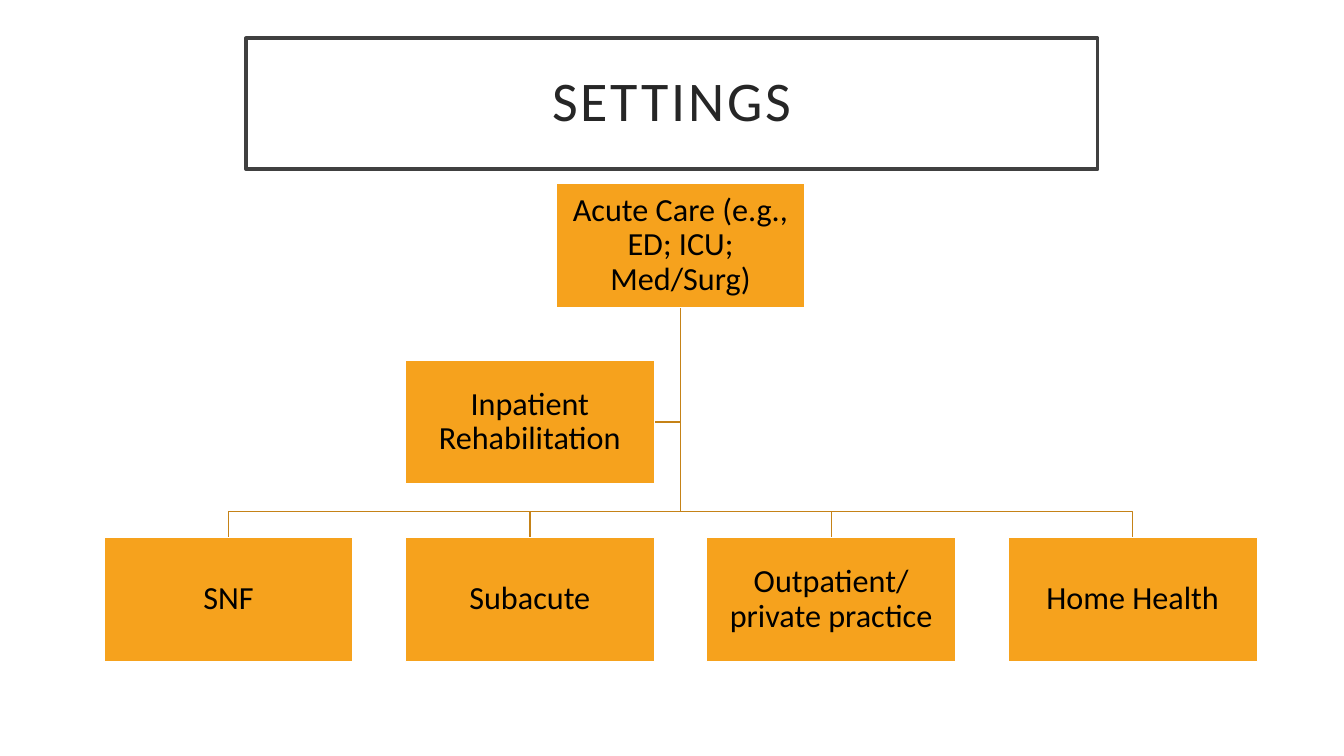
"""Builds the care settings slide: a framed title above an organisation chart."""
from dataclasses import dataclass

from pptx import Presentation
from pptx.dml.color import RGBColor
from pptx.enum.shapes import MSO_SHAPE
from pptx.enum.text import MSO_ANCHOR, PP_ALIGN
from pptx.util import Pt

RECTANGLE = MSO_SHAPE.RECTANGLE
MIDDLE = MSO_ANCHOR.MIDDLE
CENTER = PP_ALIGN.CENTER


@dataclass(frozen=True)
class Theme:
    font: str = "Calibri"
    white: RGBColor = RGBColor(0xFF, 0xFF, 0xFF)
    frame: RGBColor = RGBColor(0x40, 0x40, 0x40)
    heading: RGBColor = RGBColor(0x26, 0x26, 0x26)
    orange: RGBColor = RGBColor(0xF6, 0xA2, 0x1D)
    branch: RGBColor = RGBColor(0xC5, 0x82, 0x17)
    black: RGBColor = RGBColor(0, 0, 0)
    title_size: float = 40
    node_size: float = 23


theme = Theme()
deck = Presentation()
deck.slide_width, deck.slide_height = Pt(960), Pt(540)
page = deck.slides.add_slide(deck.slide_layouts[6])


def add_box(text, left, top, width, height, fill, line, weight, inset, size, color):
    """Add a filled rectangle with centred text and return its run."""
    box = page.shapes.add_shape(RECTANGLE, Pt(left), Pt(top), Pt(width), Pt(height))
    box.shadow.inherit = False
    box.fill.solid()
    box.fill.fore_color.rgb = fill
    box.line.color.rgb = line
    box.line.width = Pt(weight)
    frame = box.text_frame
    frame.word_wrap = True
    frame.vertical_anchor = MIDDLE
    frame.margin_left = frame.margin_right = Pt(inset)
    frame.margin_top = frame.margin_bottom = Pt(inset)
    para = frame.paragraphs[0]
    para.alignment = CENTER
    para.line_spacing = 0.9
    span = para.add_run()
    span.text = text
    span.font.name = theme.font
    span.font.size = Pt(size)
    span.font.color.rgb = color
    return span


def add_branch(points):
    """Draw an open line through the given points."""
    start, *rest = [(Pt(x), Pt(y)) for x, y in points]
    builder = page.shapes.build_freeform(*start)
    builder.add_line_segments(rest, close=False)
    branch = builder.convert_to_shape()
    branch.shadow.inherit = False
    branch.fill.background()
    branch.line.color.rgb = theme.branch
    branch.line.width = Pt(1)


title = add_box("SETTINGS", 175.7, 27.3, 608.4, 93.6, theme.white, theme.frame,
                2.5, 14.4, theme.title_size, theme.heading)
title.font._element.set("spc", "200")

node_width, node_height = 178, 88.6
first_left, column_step = 74.2, 215.3
root_top, assistant_top, leaf_top = 131, 257.2, 383.8
leaves = ["SNF", "Subacute", "Outpatient/private practice", "Home Health"]
lefts = [first_left + column_step * column for column in range(len(leaves))]
root_left = (lefts[0] + lefts[-1]) / 2
trunk_x = root_left + node_width / 2
trunk_top = root_top + node_height
rail_y = 365.2
assistant_y = assistant_top + node_height / 2

add_branch([(trunk_x, trunk_top), (trunk_x, assistant_y),
            (lefts[1] + node_width, assistant_y)])
for left in lefts:
    leaf_x = left + node_width / 2
    add_branch([(trunk_x, trunk_top), (trunk_x, rail_y),
                (leaf_x, rail_y), (leaf_x, leaf_top)])

nodes = [("Acute Care (e.g., ED; ICU; Med/Surg)", root_left, root_top)]
nodes += [(leaf, left, leaf_top) for leaf, left in zip(leaves, lefts)]
nodes.append(("Inpatient Rehabilitation", lefts[1], assistant_top))
for text, left, top in nodes:
    add_box(text, left, top, node_width, node_height, theme.orange, theme.white,
            1, 1.4, theme.node_size, theme.black)

deck.save("out.pptx")
